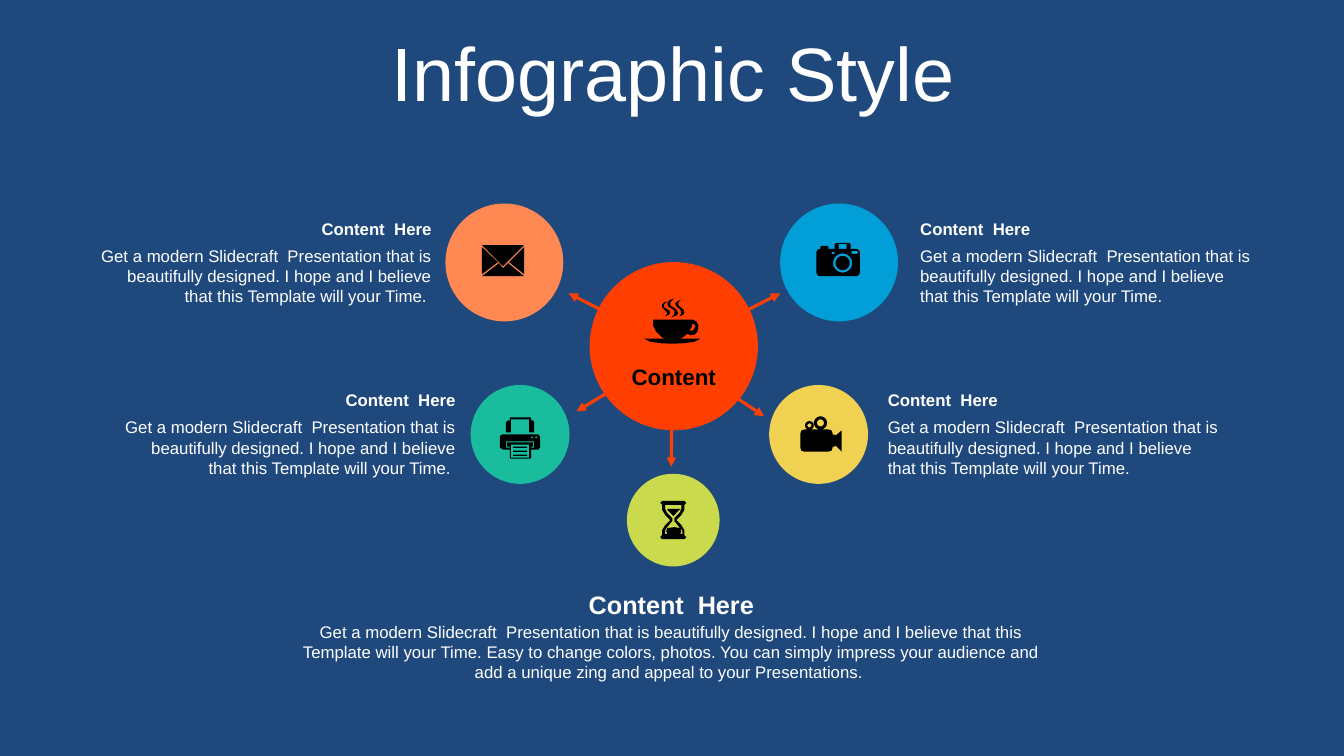
from math import cos, pi, sin

from lxml.etree import SubElement
from pptx import Presentation
from pptx.dml.color import RGBColor
from pptx.enum.shapes import MSO_CONNECTOR, MSO_SHAPE
from pptx.enum.text import MSO_ANCHOR, MSO_AUTO_SIZE, PP_ALIGN
from pptx.oxml.ns import qn
from pptx.util import Pt

COLORS = {
    "navy": "1F497D", "white": "FFFFFF", "black": "000000", "hub": "FF3F02",
    "blue": "019ED7", "orange": "FF8853", "yellow": "F0D152",
    "teal": "19BD9E", "lime": "CADA4C",
}
UNIT = 0.72
LEFT, CENTER, RIGHT = PP_ALIGN.LEFT, PP_ALIGN.CENTER, PP_ALIGN.RIGHT
HEADING = "Content  Here"
INTRO = ("Get a modern Slidecraft  Presentation that is beautifully designed. "
         "I hope and I believe that this Template will your Time.")
SUMMARY = INTRO + (" Easy to change colors, photos. You can simply impress your audience "
                   "and add a unique zing and appeal to your Presentations. ")


def rect(x, y, w, h):
    return [(x, y), (x + w, y), (x + w, y + h), (x, y + h)]


def disc(cx, cy, radius, steps=32):
    angles = [2 * pi * i / steps for i in range(steps)]
    return [(cx + radius * cos(a), cy + radius * sin(a)) for a in angles]


ENVELOPE = [
    [(26, 18), (42, 31), (0, 31), (17, 18), (21, 23)],
    [(42, 2), (42, 29), (27, 17)],
    [(0, 2), (16, 17), (0, 29)],
    [(0, 0), (42, 0), (21, 21)],
]
PRINTER = [
    *[rect(13, y, 14, 1.3) for y in (29, 33, 37)],
    rect(11, 27, 18, 13),
    [(6, 24), (6, 30), (10, 30), (10, 29), (7, 29), (7, 25), (33, 25),
     (33, 29), (31, 29), (31, 30), (34, 30), (34, 24)],
    disc(32, 20, 1), disc(36, 20, 1),
    [(3, 17), (38, 17), (40, 19), (40, 30), (38, 32), (31, 32), (31, 41),
     (10, 41), (10, 32), (3, 32), (0, 30), (0, 19), (1, 17.5)],
    [(10, 0), (31, 0), (31, 3), (33, 3), (34, 5), (34, 15), (29, 15), (29, 2),
     (11, 2), (11, 15), (6, 15), (6, 5), (8, 3), (10, 3)],
]
HOURGLASS = [
    [(14, 26), (20, 27), (21, 30), (20, 33), (7, 33), (6, 30), (7, 27)],
    [(7, 8), (20, 8), (18, 10), (13, 15), (8, 10)],
    [(5, 4), (5, 8), (7, 12), (12, 17), (12, 20), (7, 26), (5, 29), (5, 33),
     (22, 33), (22, 29), (19, 26), (14, 20), (14, 17), (19, 12), (21, 8), (21, 4)],
    [(2, 0), (24, 0), (26, 2), (24, 4), (24, 9), (21, 14), (16, 19), (21, 24),
     (24, 29), (24, 34), (26, 36), (24, 38), (2, 38), (0, 36), (2, 33.5),
     (2, 29), (5, 24), (10, 19), (5, 14), (2, 9), (2, 4), (0, 2)],
]
CAMERA = [
    disc(26, 20, 7), disc(26, 20, 9.5),
    rect(15, 9, 3, 2), rect(35, 8, 6, 3), rect(22, 1, 8, 5),
    [(20, 0), (32, 0), (34, 1), (34, 6), (40, 6), (42, 7), (43, 9), (43, 30),
     (42, 32), (40, 33), (3, 33), (1, 32), (0, 30), (0, 9), (1, 7), (3, 6),
     (4, 6), (4, 4), (5, 3), (11, 3), (12, 4), (12, 6), (18, 6), (18, 1)],
]
VIDEO = [
    disc(9, 9, 2), disc(9, 9, 4.3), disc(20, 6.5, 3.5), disc(20, 6.5, 6.5),
    [(4, 13), (28, 13), (31, 14), (32, 17), (32, 18), (34, 18), (35, 19),
     (41, 14), (41, 35), (35, 29), (34, 30), (32, 30), (32, 31), (31, 34),
     (28, 35), (4, 35), (1, 34), (0, 31), (0, 17), (1, 14)],
]
CUP = [
    [(48, 25), (47, 29), (45, 32), (48, 32), (50, 30), (51, 28), (50, 26)],
    [(9, 21), (48, 21), (52, 23), (54, 27), (53, 33), (50, 36), (46, 36.5),
     (43, 35), (38, 39), (35, 40), (56, 40), (50, 43), (40, 44.5), (28, 45),
     (16, 44.5), (6, 43), (0, 40), (22, 40), (18, 39), (12, 33), (9, 27)],
    [(23, 3), (20, 6), (20, 9), (25, 12), (26, 14), (25, 16), (21, 18),
     (23, 15), (22, 13), (18, 9), (18, 6), (20, 4)],
    [(30, 0), (26, 4), (26, 7), (32, 11), (34, 15), (32, 17), (27, 19),
     (30, 16), (30, 12), (24, 8), (23, 5), (25, 2)],
    [(37, 1), (34, 4), (34, 7), (39, 11), (40, 14), (39, 16), (35, 18),
     (37, 15), (36, 11), (32, 8), (31, 5), (33, 3)],
]

CIRCLES = [
    (421.2, 187.2, 120.2, "hub"),
    (557.3, 145.4, 84.2, "blue"),
    (318.2, 145.4, 84.2, "orange"),
    (549.4, 275, 70.6, "yellow"),
    (336.2, 275, 70.6, "teal"),
    (447.8, 338.4, 66.2, "lime"),
]
ARROWS = [
    (480.2, 254.9, 479.5, 333.4),
    (481, 247.7, 406.1, 209.5),
    (483.1, 247.7, 557.3, 209.5),
    (477.4, 251.3, 545.8, 297.4),
    (482.4, 251.3, 411.8, 293.8),
]
ICONS = [
    (344.2, 175, ENVELOPE), (357.1, 298.1, PRINTER), (471.6, 357.8, HOURGLASS),
    (583.2, 173.5, CAMERA), (571.7, 297.4, VIDEO), (460.1, 213.1, CUP),
]
BLOCKS = [
    (208.1, 421.2, 542.9, CENTER, 18, SUMMARY),
    (650.2, 152.6, 252, LEFT, 12, INTRO),
    (627.1, 275, 252, LEFT, 12, INTRO),
    (63.4, 152.6, 252, RIGHT, 12, INTRO + " "),
    (80.6, 275, 252, RIGHT, 12, INTRO + " "),
]


class Deck:
    font = {"name": "Arial", "size": Pt(12), "bold": False}

    def __init__(self):
        self.prs = Presentation()
        self.prs.slide_width, self.prs.slide_height = Pt(960), Pt(540)
        self.s = self.prs.slides.add_slide(self.prs.slide_layouts[6])
        self.paint(self.s.background.fill, "navy")

    def paint(self, fill, color):
        fill.solid()
        fill.fore_color.rgb = RGBColor.from_string(COLORS[color])

    def finish(self, sp, color):
        sp.shadow.inherit = False
        self.paint(sp.fill, color)
        sp.line.fill.background()

    def circle(self, x, y, size, color):
        sp = self.s.shapes.add_shape(MSO_SHAPE.OVAL, Pt(x), Pt(y), Pt(size), Pt(size))
        self.finish(sp, color)

    def icon(self, x, y, contours):
        outlines = [[(Pt(px * UNIT), Pt(py * UNIT)) for px, py in c] for c in contours]
        fb = self.s.shapes.build_freeform(*outlines[0][0])
        fb.add_line_segments(outlines[0][1:])
        for outline in outlines[1:]:
            fb.move_to(*outline[0])
            fb.add_line_segments(outline[1:])
        self.finish(fb.convert_to_shape(Pt(x), Pt(y)), "black")

    def arrow(self, *ends):
        cn = self.s.shapes.add_connector(MSO_CONNECTOR.STRAIGHT, *map(Pt, ends))
        cn.line.width = Pt(2.25)
        self.paint(cn.line.fill, "hub")
        SubElement(cn.line._get_or_add_ln(), qn("a:tailEnd"), type="triangle")
        SubElement(cn._element.spPr, qn("a:effectLst"))

    def text(self, box, text, align, color="white", anchor=MSO_ANCHOR.MIDDLE,
             grow=True, spacing=1.0, **font):
        tf = self.s.shapes.add_textbox(*map(Pt, box)).text_frame
        frame = {"word_wrap": True, "vertical_anchor": anchor,
                 "auto_size": MSO_AUTO_SIZE.SHAPE_TO_FIT_TEXT if grow else MSO_AUTO_SIZE.NONE}
        p = tf.paragraphs[0]
        r = p.add_run()
        r.text = text
        para = {"alignment": align, "line_spacing": spacing}
        for target, values in ((tf, frame), (p, para), (r.font, {**self.font, **font})):
            for key, value in values.items():
                setattr(target, key, value)
        self.paint(r.font.fill, color)

    def block(self, x, y, w, align, size, body):
        self.text((x, y, w, 21.6), HEADING, align, size=Pt(size), bold=True)
        self.text((x, y + 19.4, w, 51.1), body, align, anchor=MSO_ANCHOR.TOP)


def main():
    deck = Deck()
    deck.text((25.2, 26.6, 911.5, 56.9), "Infographic Style", CENTER,
              grow=False, spacing=0.9, size=Pt(54))
    for method, rows in ((deck.block, BLOCKS), (deck.circle, CIRCLES),
                         (deck.arrow, ARROWS), (deck.icon, ICONS)):
        for row in rows:
            method(*row)
    deck.text((422.6, 255.6, 117.4, 26.6), "Content", CENTER, "black",
              size=Pt(16), bold=True)
    deck.prs.save("out.pptx")


if __name__ == "__main__":
    main()
